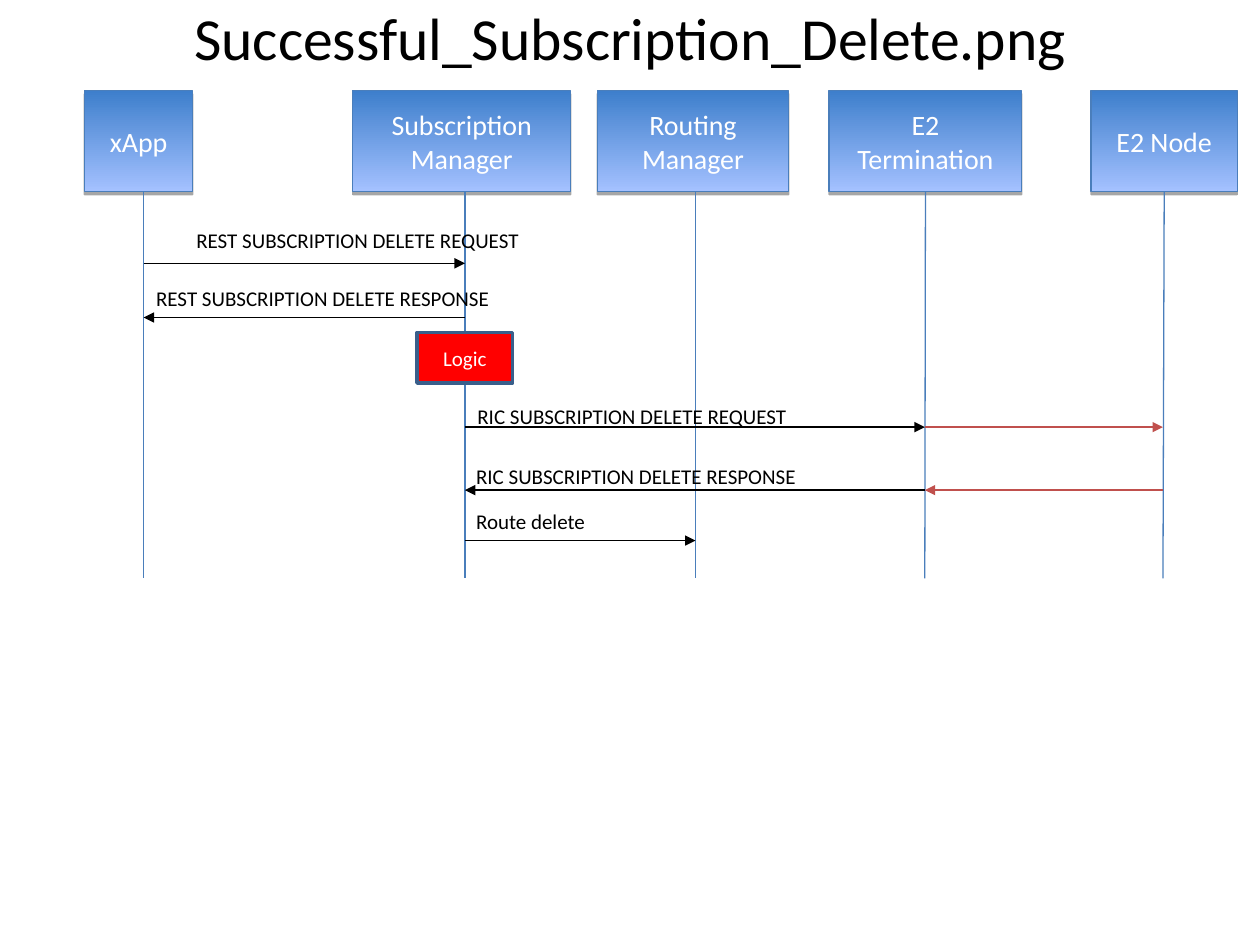
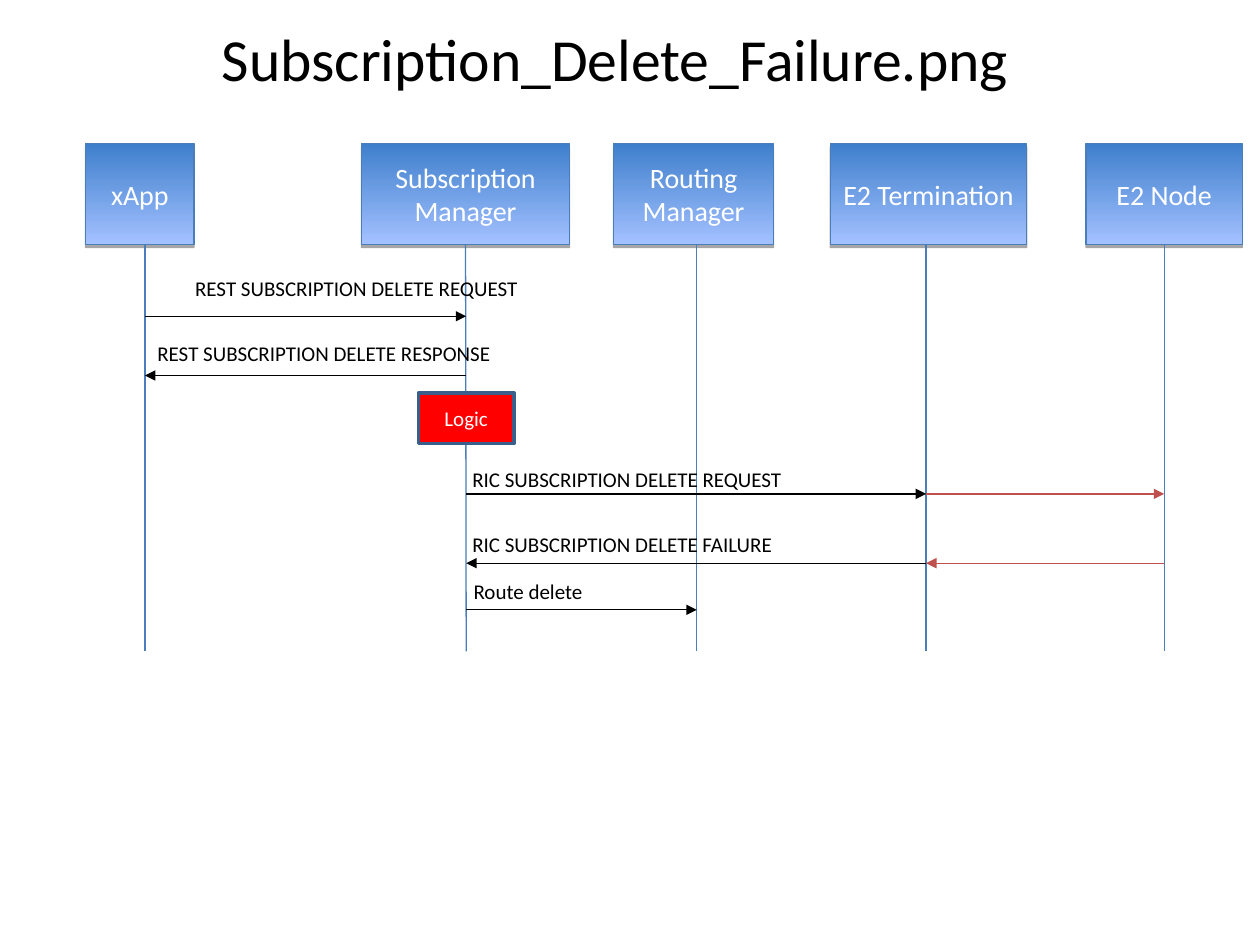
from dataclasses import dataclass

from lxml.etree import SubElement
from pptx import Presentation
from pptx.dml.color import RGBColor
from pptx.enum.shapes import MSO_CONNECTOR, MSO_SHAPE
from pptx.enum.text import MSO_ANCHOR, MSO_AUTO_SIZE, PP_ALIGN
from pptx.oxml.ns import qn
from pptx.util import Inches, Pt


@dataclass(frozen=True)
class Theme:
    font: str = "Calibri"
    ink: str = "000000"
    paper: str = "FFFFFF"
    deep: str = "3E7FCC"
    pale: str = "A4C1FF"
    edge: str = "4A7EBB"
    relay: str = "C0504D"
    logic: str = "FF0000"
    rim: str = "3A5F8B"
    title: float = 34.1
    head: float = 16
    label: float = 12
    thin: float = 0.75
    thick: float = 2


@dataclass(frozen=True)
class Step:
    """A message between lanes; a relayed one also runs to or from the node."""
    text: str
    start: int
    end: int
    relay: bool = False
    wrap: bool = True


@dataclass(frozen=True)
class Flow:
    """All lengths are inches from the corner of the diagram."""
    title: str
    title_at: tuple
    corner: tuple
    heads: tuple    # left, width
    length: float   # from the top of the heads to the end of the lanes
    logic: float    # top of the logic box
    reply: str
    rows: tuple     # arrow y, label left, label top, label width


THEME = Theme()
ACTORS = ("xApp", "Subscription Manager", "Routing\nManager",
          "E2 Termination", "E2 Node")
XAPP, SUB, ROUTE, TERM, NODE = range(len(ACTORS))
LANES = (0.47, 3.02, 4.85, 6.67, 8.56)
HEAD_H = 0.8
LABEL_H = 0.3
LOGIC_W, LOGIC_H = 0.76, 0.4
NEAR = 0.015

FLOWS = (
    Flow("Successful_Subscription_Delete.png", (0.5, 0.05), (0.67, 0.72),
         ((0, 0.86), (2.13, 1.73), (4.07, 1.52), (5.91, 1.53), (7.99, 1.16)),
         3.87, 1.92, "RESPONSE",
         ((1.37, 0.79, 1.04, 2.76), (1.8, 0.47, 1.5, 3.62),
          (2.67, 3.02, 2.43, 3.31), (3.17, 3.01, 2.91, 3.41),
          (3.57, 3.01, 3.27, 1.48))),
    Flow("Subscription_Delete_Failure.png", (0.38, 0.22), (0.68, 1.14),
         ((0, 0.86), (2.19, 1.65), (4.19, 1.27), (5.91, 1.56), (7.94, 1.24)),
         4.03, 1.98, "FAILURE",
         ((1.37, 0.77, 1, 2.76), (1.84, 0.47, 1.51, 3.61),
          (2.78, 2.97, 2.51, 3.32), (3.33, 2.97, 3.03, 3.24),
          (3.7, 2.98, 3.4, 1.38))),
)


def steps(reply):
    return (
        Step("REST SUBSCRIPTION DELETE REQUEST", XAPP, SUB, wrap=False),
        Step("REST SUBSCRIPTION DELETE RESPONSE", SUB, XAPP),
        Step("RIC SUBSCRIPTION DELETE REQUEST", SUB, TERM, relay=True),
        Step(f"RIC SUBSCRIPTION DELETE {reply}", TERM, SUB, relay=True),
        Step("Route delete", SUB, ROUTE),
    )


def rgb(code):
    return RGBColor.from_string(code)


def write(frame, text, size, color, align=PP_ALIGN.LEFT):
    frame.text = text
    for para in frame.paragraphs:
        para.alignment = align
        para.font.name = THEME.font
        para.font.size = Pt(size)
        para.font.color.rgb = rgb(color)


def add_line(slide, start, end, color, arrow=False):
    line = slide.shapes.add_connector(
        MSO_CONNECTOR.STRAIGHT, *map(Inches, start + end))
    line.line.color.rgb = rgb(color)
    line.line.width = Pt(THEME.thin)
    if arrow:
        SubElement(line.line._get_or_add_ln(), qn("a:tailEnd"), type="triangle")
    SubElement(line._element.spPr, qn("a:effectLst"))
    return line


def add_box(slide, box, text, size, edge, width):
    shape = slide.shapes.add_shape(MSO_SHAPE.RECTANGLE, *map(Inches, box))
    shape.shadow.inherit = False
    shape.line.color.rgb = rgb(edge)
    shape.line.width = Pt(width)
    frame = shape.text_frame
    frame.word_wrap = True
    frame.vertical_anchor = MSO_ANCHOR.MIDDLE
    write(frame, text, size, THEME.paper, PP_ALIGN.CENTER)
    return shape


def add_head(slide, box, text):
    head = add_box(slide, box, text, THEME.head, THEME.edge, THEME.thin)
    head.fill.gradient()
    head.fill.gradient_angle = 270
    for stop, color in zip(head.fill.gradient_stops, (THEME.deep, THEME.pale)):
        stop.color.rgb = rgb(color)
    effects = head._element.spPr.find(qn("a:effectLst"))
    shade = SubElement(effects, qn("a:outerShdw"), dist=str(Pt(1.8)),
                       dir="5400000", rotWithShape="0")
    tint = SubElement(shade, qn("a:srgbClr"), val=THEME.ink)
    SubElement(tint, qn("a:alpha"), val="35000")
    return head


def add_label(slide, box, text, wrap):
    label = slide.shapes.add_textbox(*map(Inches, box))
    frame = label.text_frame
    frame.word_wrap = wrap
    frame.auto_size = MSO_AUTO_SIZE.SHAPE_TO_FIT_TEXT
    write(frame, text, THEME.label, THEME.ink)


def add_title(slide, flow):
    title = slide.shapes.title
    title.left, title.top = map(Inches, flow.title_at)
    title.width, title.height = Inches(9), Inches(0.58)
    frame = title.text_frame
    frame.auto_size = MSO_AUTO_SIZE.NONE
    frame.vertical_anchor = MSO_ANCHOR.MIDDLE
    write(frame, flow.title, THEME.title, THEME.ink, PP_ALIGN.CENTER)
    frame.paragraphs[0].line_spacing = 0.8


def add_lanes(slide, flow):
    left, top = flow.corner
    for name, lane, (x, width) in zip(ACTORS, LANES, flow.heads):
        head = add_head(slide, (left + x, top, width, HEAD_H), name)
        line = add_line(slide, (left + lane, top + HEAD_H),
                        (left + lane, top + flow.length), THEME.edge)
        if abs(x + width / 2 - lane) <= NEAR:
            line.begin_connect(head, 2)


def add_steps(slide, flow):
    left, top = flow.corner

    def arrow(start, end, y, color):
        add_line(slide, (left + LANES[start], top + y),
                 (left + LANES[end], top + y), color, arrow=True)

    for step, (y, x, label_y, width) in zip(steps(flow.reply), flow.rows):
        add_label(slide, (left + x, top + label_y, width, LABEL_H),
                  step.text, step.wrap)
        arrow(step.start, step.end, y, THEME.ink)
        if step.relay:
            ends = (TERM, NODE) if step.end == TERM else (NODE, TERM)
            arrow(*ends, y, THEME.relay)


def add_logic(slide, flow):
    left, top = flow.corner
    box = (left + LANES[SUB] - LOGIC_W / 2, top + flow.logic, LOGIC_W, LOGIC_H)
    logic = add_box(slide, box, "Logic", THEME.label, THEME.rim, THEME.thick)
    logic.fill.solid()
    logic.fill.fore_color.rgb = rgb(THEME.logic)


def main():
    deck = Presentation()
    deck.slide_width, deck.slide_height = Inches(10), Inches(7.5)
    for flow in FLOWS:
        slide = deck.slides.add_slide(deck.slide_layouts[5])
        for part in (add_title, add_lanes, add_steps, add_logic):
            part(slide, flow)
    deck.save("out.pptx")


if __name__ == "__main__":
    main()
